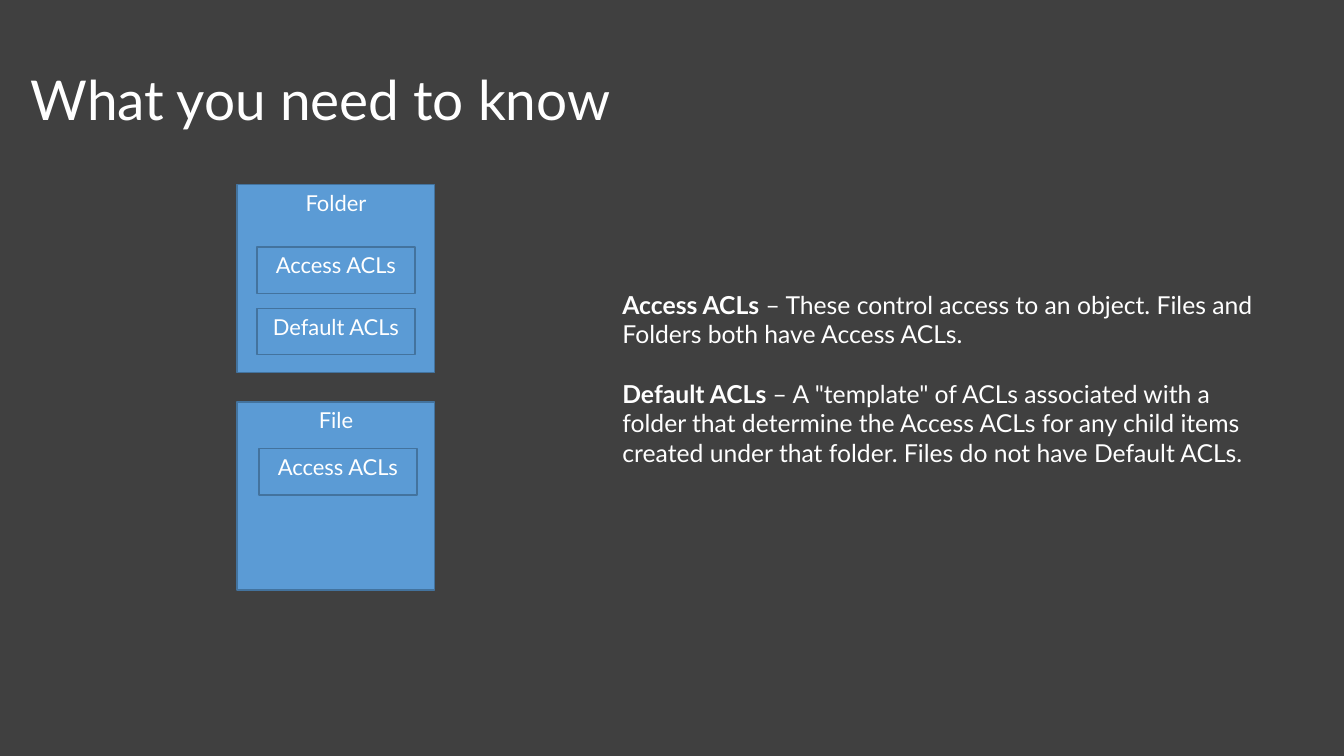
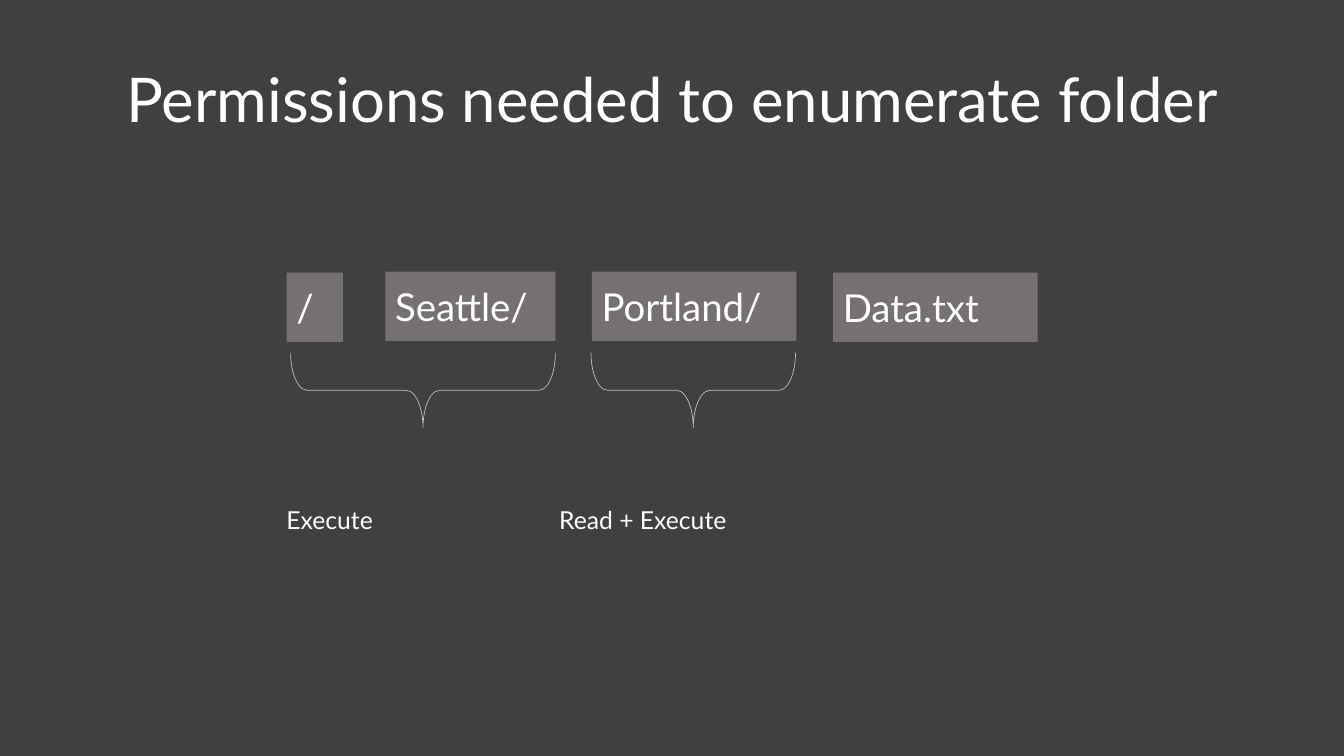
from pptx import Presentation
from pptx.dml.color import RGBColor
from pptx.enum.shapes import MSO_SHAPE
from pptx.enum.text import MSO_ANCHOR, MSO_AUTO_SIZE, PP_ALIGN
from pptx.util import Inches, Pt

RECTANGLE, BRACE = MSO_SHAPE.RECTANGLE, MSO_SHAPE.RIGHT_BRACE
LEFT, CENTER = PP_ALIGN.LEFT, PP_ALIGN.CENTER
TOP, MIDDLE = MSO_ANCHOR.TOP, MSO_ANCHOR.MIDDLE
NO_AUTOFIT = MSO_AUTO_SIZE.NONE

SLIDE_SIZE = (13.6, 7.65)
TITLE_BOX = (0.21, 0.21, 13.18, 1.66)
FONT = "Lato"
WHITE, BACKGROUND = "FFFFFF", "404040"
BLUE, BLUE_EDGE = "5B9BD5", "43739E"
GRAY, BRACE_LINE = "767171", "BFBFBF"
TITLE_ONLY = 5


def color(value):
    return RGBColor.from_string(value)


def inches(box):
    return [Inches(length) for length in box]


def set_values(target, values):
    for name, value in values.items():
        setattr(target, name, value)


def write(shape, paragraphs, size, align=LEFT, anchor=TOP, **spacing):
    """Fill a shape with paragraphs, each a list of (text, bold) spans."""
    frame = shape.text_frame
    set_values(frame, {"word_wrap": True, "auto_size": NO_AUTOFIT,
                       "vertical_anchor": anchor})
    for index, spans in enumerate(paragraphs):
        para = frame.add_paragraph() if index else frame.paragraphs[0]
        set_values(para, {"alignment": align, **spacing})
        for text, bold in spans:
            span = para.add_run()
            span.text = text
            set_values(span.font, {"name": FONT, "size": Pt(size), "bold": bold})
            span.font.color.rgb = color(WHITE)


def add_text(slide, box, paragraphs, size, **spacing):
    write(slide.shapes.add_textbox(*inches(box)), paragraphs, size, **spacing)


def add_shape(slide, kind, box, fill=None, line=None, line_width=1):
    shape = slide.shapes.add_shape(kind, *inches(box))
    shape.shadow.inherit = False
    if fill:
        shape.fill.solid()
        shape.fill.fore_color.rgb = color(fill)
    else:
        shape.fill.background()
    if line:
        shape.line.color.rgb = color(line)
        shape.line.width = Pt(line_width)
    else:
        shape.line.fill.background()
    return shape


def add_titled_slide(deck, title, size, align):
    slide = deck.slides.add_slide(deck.slide_layouts[TITLE_ONLY])
    placeholder = slide.shapes.title
    set_values(placeholder, dict(zip(("left", "top", "width", "height"),
                                     inches(TITLE_BOX))))
    write(placeholder, [[(title, False)]], size, align, MIDDLE, line_spacing=0.9)
    return slide


def add_blue_box(slide, box, label):
    shape = add_shape(slide, RECTANGLE, box, BLUE, BLUE_EDGE)
    write(shape, [[(label, False)]], 16, CENTER)


def add_object_card(slide, box, name, acls, first_offset):
    """Draw a file system object with its ACL boxes stacked inside."""
    left, top = box[:2]
    offset_x, offset_y = first_offset
    add_blue_box(slide, box, name)
    for row, acl in enumerate(acls):
        acl_top = top + offset_y + row * 0.62
        add_blue_box(slide, (left + offset_x, acl_top, 1.6, 0.47), acl)


def add_path_segment(slide, box, name):
    shape = add_shape(slide, RECTANGLE, box, GRAY)
    write(shape, [[(name, False)]], 28, anchor=MIDDLE)


def add_brace_below(slide, box):
    """Draw a brace that opens upward and fills the box once it is turned."""
    left, top, width, height = box
    shift = (width - height) / 2
    brace = add_shape(slide, BRACE, (left + shift, top - shift, height, width),
                      line=BRACE_LINE, line_width=0.5)
    brace.rotation = 90
    brace.adjustments[0] = 0.222


def build_acl_slide(deck):
    slide = add_titled_slide(deck, "What you need to know", 40, LEFT)
    definitions = [
        [("Access ACLs", True),
         (" – These control access to an object. Files and Folders both have "
          "Access ACLs.", False)],
        [("Default ACLs", True),
         (" – A \"template\" of ACLs associated with a folder that determine "
          "the Access ACLs for any child items created under that folder. "
          "Files do not have Default ACLs.", False)],
    ]
    add_text(slide, (6.2, 2.88, 6.8, 1.92), definitions, 18, space_after=Pt(21.6))
    cards = [("Folder", ["Access ACLs", "Default ACLs"], (0.2, 0.63)),
             ("File", ["Access ACLs"], (0.22, 0.47))]
    for row, card in enumerate(cards):
        add_object_card(slide, (2.4, 1.87 + row * 2.2, 2, 1.9), *card)


def build_permissions_slide(deck):
    slide = add_titled_slide(deck, "Permissions needed to enumerate folder",
                             44.9, CENTER)
    segments = [("/", 2.9, 2.76, 0.57), ("Seattle/", 3.9, 2.75, 1.72),
                ("Portland/", 5.99, 2.75, 2.07), ("Data.txt", 8.43, 2.76, 2.07)]
    for name, left, top, width in segments:
        add_path_segment(slide, (left, top, width, 0.7), name)
    permissions = [("Execute", 2.8, 2.94, 2.68),
                   ("Read + Execute", 5.56, 5.98, 2.07)]
    for label, label_left, brace_left, brace_width in permissions:
        add_brace_below(slide, (brace_left, 3.57, brace_width, 0.76))
        add_text(slide, (label_left, 5.06, 2.9, 0.4), [[(label, False)]], 18)


def main():
    deck = Presentation()
    deck.slide_width, deck.slide_height = inches(SLIDE_SIZE)
    backdrop = deck.slide_master.background.fill
    backdrop.solid()
    backdrop.fore_color.rgb = color(BACKGROUND)
    build_acl_slide(deck)
    build_permissions_slide(deck)
    deck.save("out.pptx")


if __name__ == "__main__":
    main()
